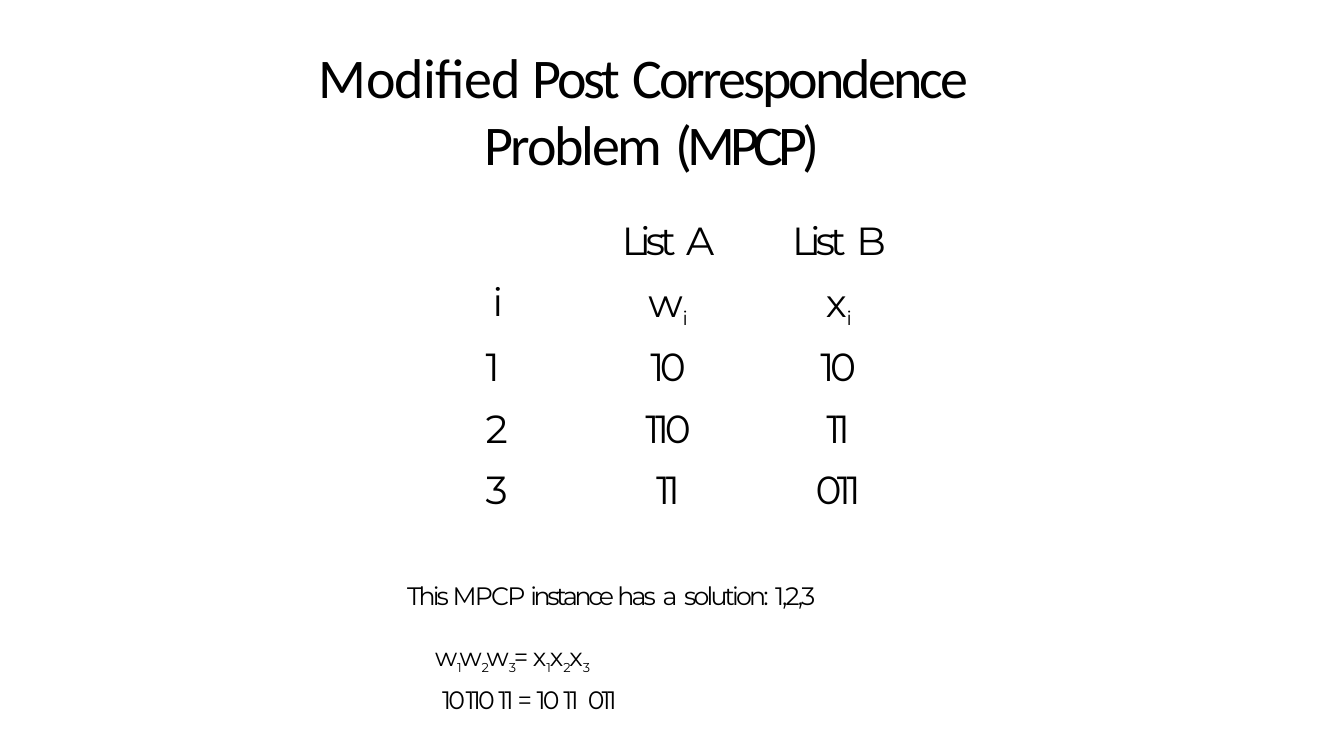
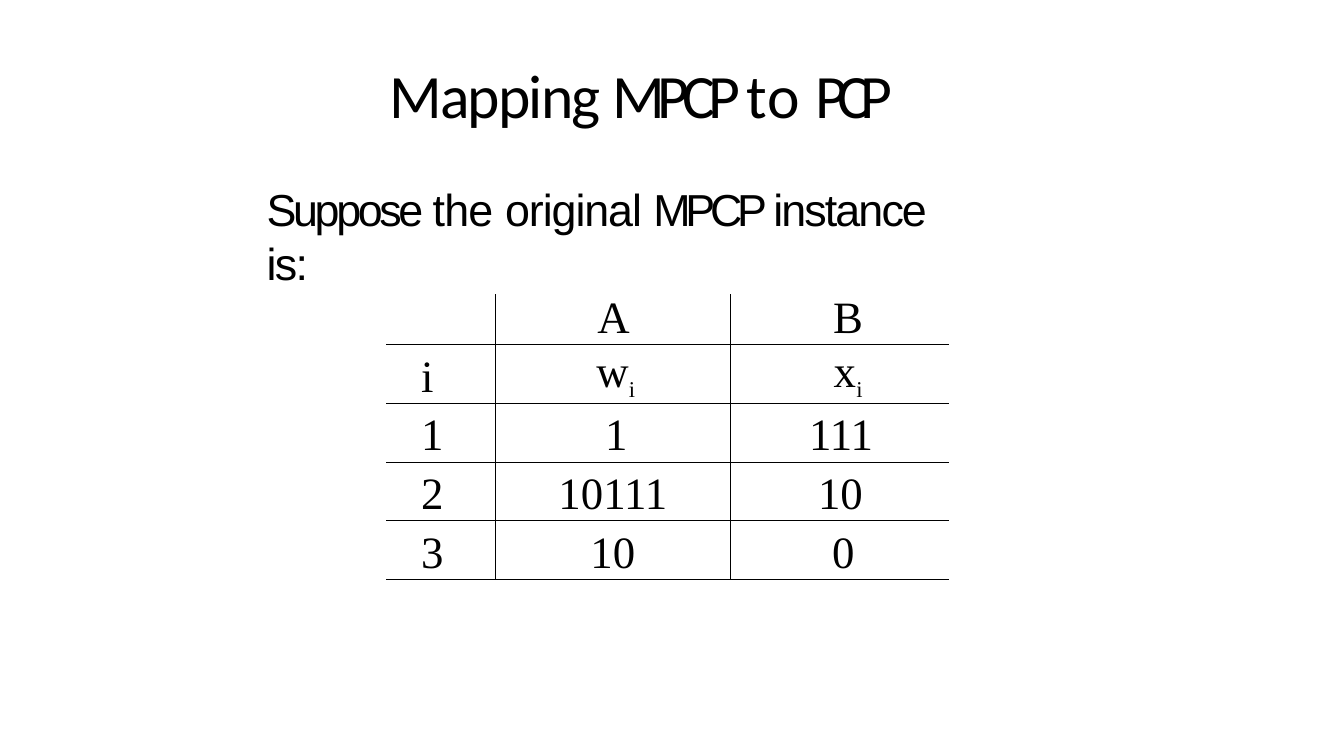
from pptx import Presentation
from pptx.dml.color import RGBColor
from pptx.enum.text import MSO_ANCHOR, MSO_AUTO_SIZE, PP_ALIGN
from pptx.oxml import parse_xml
from pptx.oxml.ns import nsdecls, qn
from pptx.util import Inches, Pt

# Shared look
COLORS = {"text": "000000", "rule": "000000"}
STYLES = {
    "wide title": {"name": "Calibri", "size": 40},
    "title": {"name": "Calibri", "size": 44},
    "body": {"name": "Arial", "size": 32},
    "solution": {"name": "Montserrat", "size": 18, "subscript": 15.8},
    "lists": {"name": "Montserrat", "size": 28, "subscript": 24},
    "mapping": {"name": "Times New Roman", "size": 32, "subscript": 27.8},
}
NO_GRID_STYLE = "{2D5ABB26-0587-4C30-8999-92F81FD0307C}"

# Page grid: 100 columns by 100 rows
SLIDE_WIDTH, SLIDE_HEIGHT = Inches(13.33), Inches(7.5)


def columns(count):
    return round(SLIDE_WIDTH * count / 100)


def rows(count):
    return round(SLIDE_HEIGHT * count / 100)


def set_values(target, values):
    for name, value in values.items():
        setattr(target, name, value)


# Text: a run is (text, letter spacing in points[, is subscript])
def add_runs(paragraph, runs, style):
    for text, spacing, *subscript in runs:
        run = paragraph.add_run()
        run.text = text
        size = style["subscript"] if subscript else style["size"]
        set_values(run.font, {"name": style["name"], "size": Pt(size)})
        run.font.color.rgb = RGBColor.from_string(COLORS["text"])
        properties = run._r.get_or_add_rPr()
        properties.set("spc", str(round(spacing * 100)))
        if subscript:
            properties.set("baseline", "-24000")


def write_paragraph(paragraph, runs, style, indent=0, hanging=0, values=None):
    properties = paragraph._p.get_or_add_pPr()
    properties.set("marL", str(Pt(indent)))
    properties.set("indent", str(Pt(-hanging)))
    set_values(paragraph, values or {})
    add_runs(paragraph, runs, style)


def write_paragraphs(frame, paragraphs, style):
    for index, paragraph_format in enumerate(paragraphs):
        paragraph = frame.add_paragraph() if index else frame.paragraphs[0]
        write_paragraph(paragraph, style=style, **paragraph_format)


def add_text(slide, box, style_name, paragraphs, anchor=MSO_ANCHOR.TOP):
    left, top, width, height = box
    shape = slide.shapes.add_textbox(
        columns(left), rows(top), columns(width), rows(height))
    frame = shape.text_frame
    set_values(frame, {
        "word_wrap": True, "auto_size": MSO_AUTO_SIZE.SHAPE_TO_FIT_TEXT,
        "vertical_anchor": anchor, "margin_left": 0, "margin_right": 0,
        "margin_top": Pt(1), "margin_bottom": 0})
    write_paragraphs(frame, paragraphs, STYLES[style_name])


def add_title(slide, box, style_name, **paragraph_format):
    add_text(slide, box, style_name, [paragraph_format], MSO_ANCHOR.MIDDLE)


# Tables: a cell is (lines of runs, indent, top margin), lengths in points
def add_rules(cell, sides):
    for side in sides:
        cell._tc.get_or_add_tcPr().append(parse_xml(
            f'<a:ln{side} {nsdecls("a")} w="9525"><a:solidFill>'
            f'<a:srgbClr val="{COLORS["rule"]}"/></a:solidFill></a:ln{side}>'))


def cell_paragraphs(lines, indent, alignment, line_spacing, line_gap):
    paragraphs = []
    for index, runs in enumerate(lines):
        values = {"alignment": alignment}
        if line_spacing:
            values["line_spacing"] = Pt(line_spacing)
        if index:
            values["space_before"] = Pt(line_gap)
        paragraphs.append({"runs": runs, "indent": indent, "values": values})
    return paragraphs


def add_grid(slide, corner, widths, heights, cells, style_name,
             ruled=False, line_spacing=None, line_gap=0):
    left, top = corner
    frame = slide.shapes.add_table(
        len(heights), len(widths), columns(left), rows(top),
        columns(sum(widths)), rows(sum(heights)))
    table = frame.table
    set_values(table, {"first_row": False, "horz_banding": False})
    table._tbl.tblPr.find(qn("a:tableStyleId")).text = NO_GRID_STYLE
    for column, width in zip(table.columns, widths):
        column.width = columns(width)
    for row_index, (row, height) in enumerate(zip(table.rows, heights)):
        row.height = rows(height)
        for column_index, cell in enumerate(row.cells):
            lines, indent, margin = cells[row_index][column_index]
            set_values(cell, {
                "margin_left": 0, "margin_right": 0,
                "margin_top": Pt(margin), "margin_bottom": 0})
            if ruled:
                inner = {"L": column_index > 0,
                         "R": column_index < len(widths) - 1,
                         "T": row_index > 0, "B": True}
                add_rules(cell, [side for side, drawn in inner.items() if drawn])
            cell.fill.background()
            alignment = PP_ALIGN.CENTER if column_index else PP_ALIGN.LEFT
            write_paragraphs(
                cell.text_frame,
                cell_paragraphs(lines, indent, alignment, line_spacing, line_gap),
                STYLES[style_name])


# Slide 1
def indexed_product(letter, letter_spacing, index_spacing, last_index):
    runs = []
    for index in ("1 ", "2 ", last_index):
        runs += [(letter, letter_spacing), (index, index_spacing, True)]
    return runs


def list_heading(name):
    return [("List", -3.5), (" ", 0), (name, -3.1)]


def build_problem_slide(slide):
    add_title(slide, (23.63, 5.33, 52.66, 18.13), "wide title",
              indent=119, hanging=118,
              runs=[("Modified ", -0.5), ("Post", -2.4), (" ", 0),
                    ("Correspondence ", -2.1), ("Problem", -1.6), (" ", 0),
                    ("(MPCP)", -3.6)])

    cells = [[
        ([[("i", 0)]], 7, 45.5),
        ([list_heading("A"), [("w", -4), ("i", -6, True)]], 14, 2),
        ([list_heading("B"), [("x", -3.2), ("i", -4.9, True)]], 24, 2),
    ]]
    values = [("1", "10", "10", 4), ("2", "110", "11", 5), ("3", "11", "011", 5)]
    for number, word_a, word_b, margin in values:
        cells.append([([[(number, 0)]], 2, margin),
                      ([[(word_a, -3.2)]], 14, margin),
                      ([[(word_b, -3.2)]], 23, margin)])
    add_grid(slide, (35.93, 28.4), (6, 14.1, 10.28),
             (16.27, 8, 8.13, 7.6), cells, "lists", line_gap=10.5)

    add_text(slide, (30.08, 76.53, 34.66, 18.53), "solution", [
        {"indent": 2,
         "runs": [("This ", -2.1), ("MPCP ", -1.3), ("instance ", -2.4),
                  ("has", -2), (" ", 0), ("a", -2), (" ", 0),
                  ("solution:", -2), (" ", 0), ("1,2,3", -1.6)]},
        {"indent": 22, "values": {"space_before": Pt(22.5)},
         "runs": indexed_product("w", -2.6, -4, "3 ") + [("= ", -1.4)]
            + indexed_product("x", -2.1, -3.2, "3")},
        {"indent": 27, "values": {"space_before": Pt(7)},
         "runs": [("10 110 ", -2.1), ("11 ", -2), ("= ", -1.4),
                  ("10 ", -2), ("11", -2.1), (" ", 1.8), ("011", -2.1)]},
    ])


# Slide 2
def build_mapping_slide(slide):
    add_title(slide, (28.88, 7.2, 42.16, 10.13), "title", indent=1,
              runs=[("Mapping ", -1.4), ("MPCP ", -5.2),
                    ("to ", 0.6), ("PCP", -7.2)])
    add_text(slide, (19.73, 23.87, 52.51, 7.47), "body", [
        {"indent": 1,
         "runs": [("Suppose ", -2.4), ("the ", -0.5), ("original ", -0.8),
                  ("MPCP ", -3.8), ("instance ", -1.4), ("is:", -1.2)]}])

    cells = [
        [([], 0, 0), ([[("A", 0)]], 1, 0), ([[("B", 0)]], 12, 0)],
        [([[("i", 0)]], 25, 6),
         ([[("w", 0), ("i", 0, True)]], 4, 6),
         ([[("x", 0.1), ("i", 0.1, True)]], 12, 6)],
    ]
    values = [("1", "1", 5, "111", 2), ("2", "10111", 0, "10", 1),
              ("3", "10", 0, "0", 5)]
    for number, word_a, indent_a, word_b, indent_b in values:
        cells.append([([[(number, 0)]], 25, 6),
                      ([[(word_a, 0)]], indent_a, 6),
                      ([[(word_b, 0)]], indent_b, 6)])
    add_grid(slide, (28.73, 38.93), (8.1, 17.55, 16.21),
             [6.67] + [7.76] * 4, cells, "mapping", ruled=True, line_spacing=35)


def main():
    presentation = Presentation()
    set_values(presentation, {"slide_width": SLIDE_WIDTH,
                              "slide_height": SLIDE_HEIGHT})
    blank_layout = presentation.slide_layouts[6]
    for build in (build_problem_slide, build_mapping_slide):
        build(presentation.slides.add_slide(blank_layout))
    presentation.save("out.pptx")


if __name__ == "__main__":
    main()
